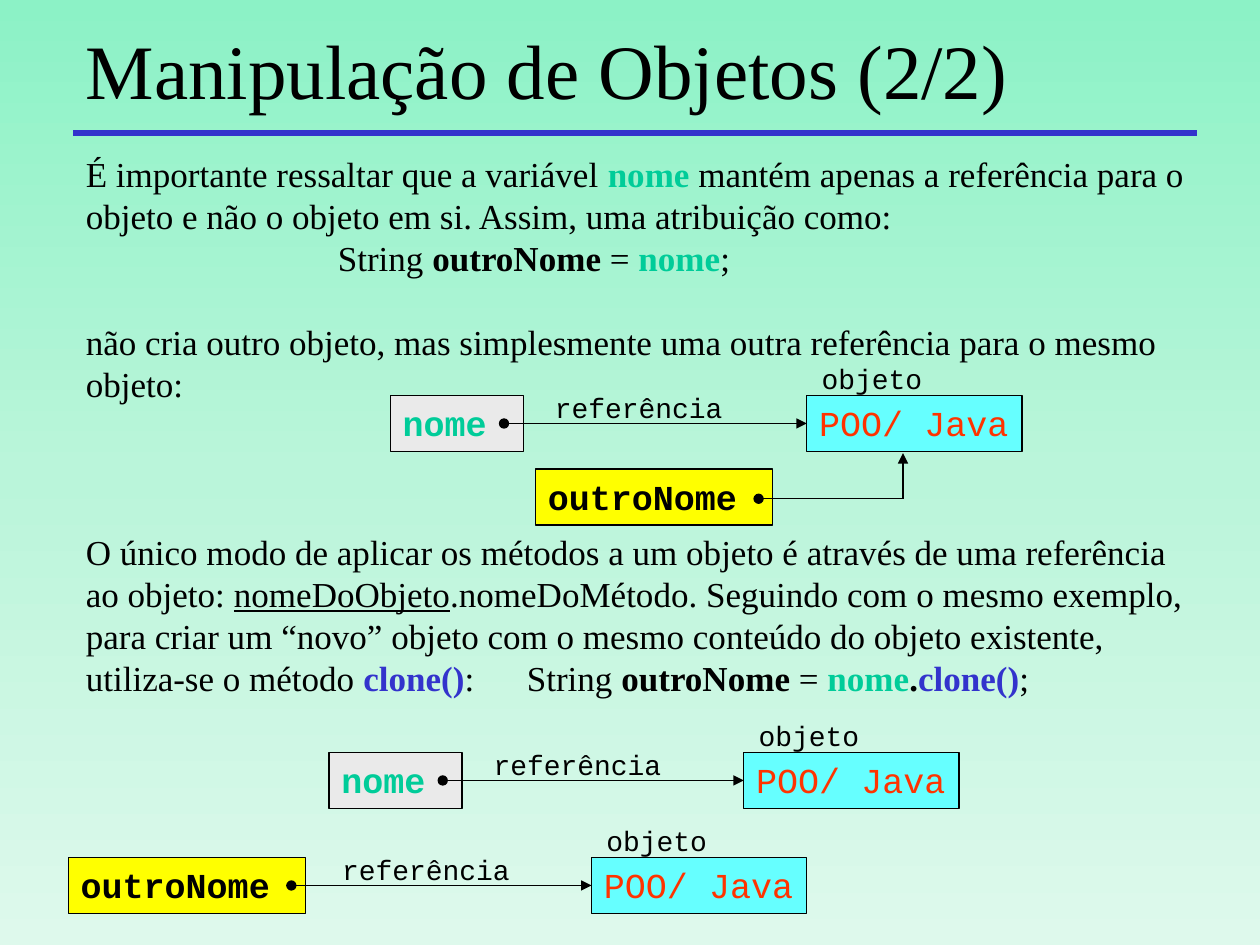
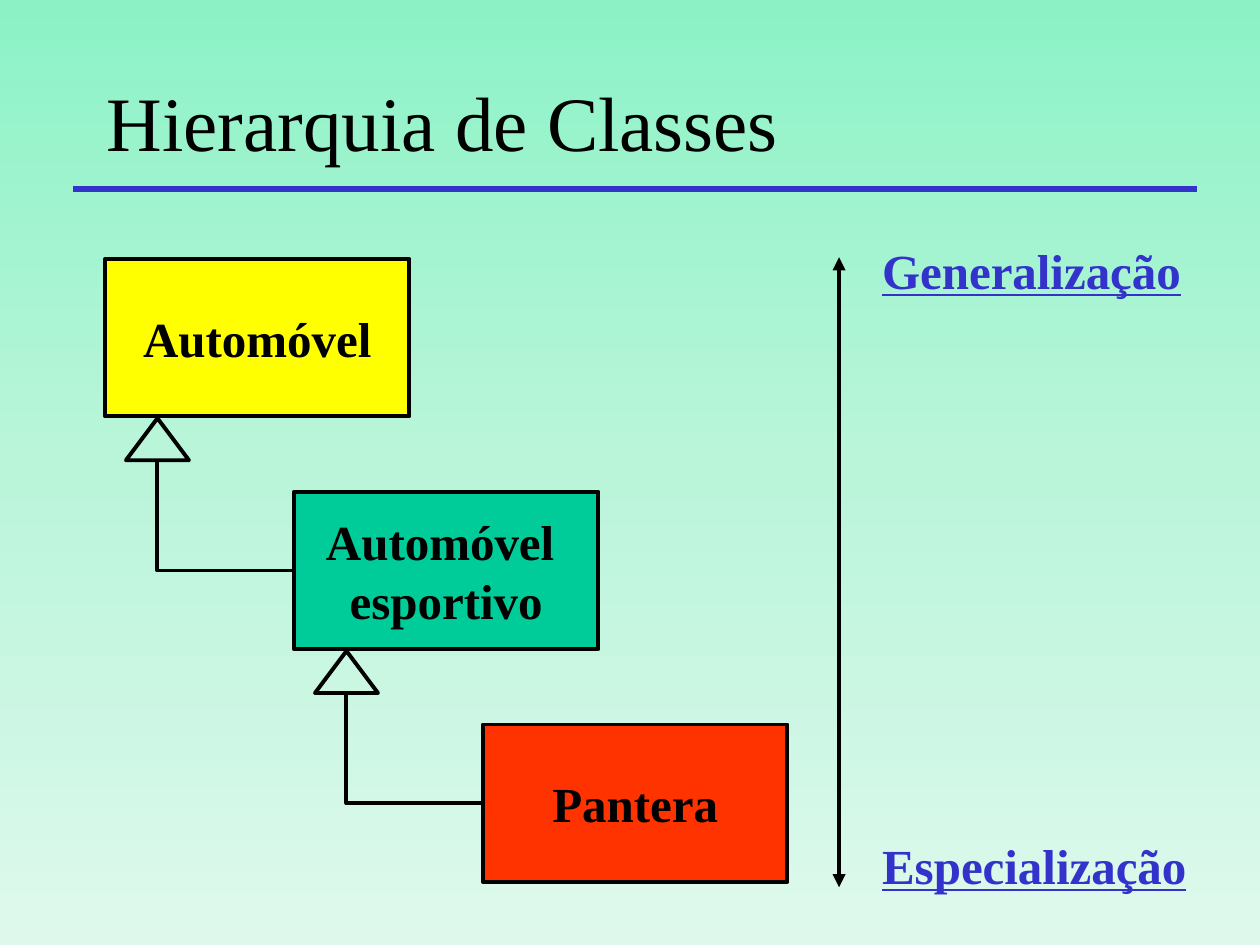
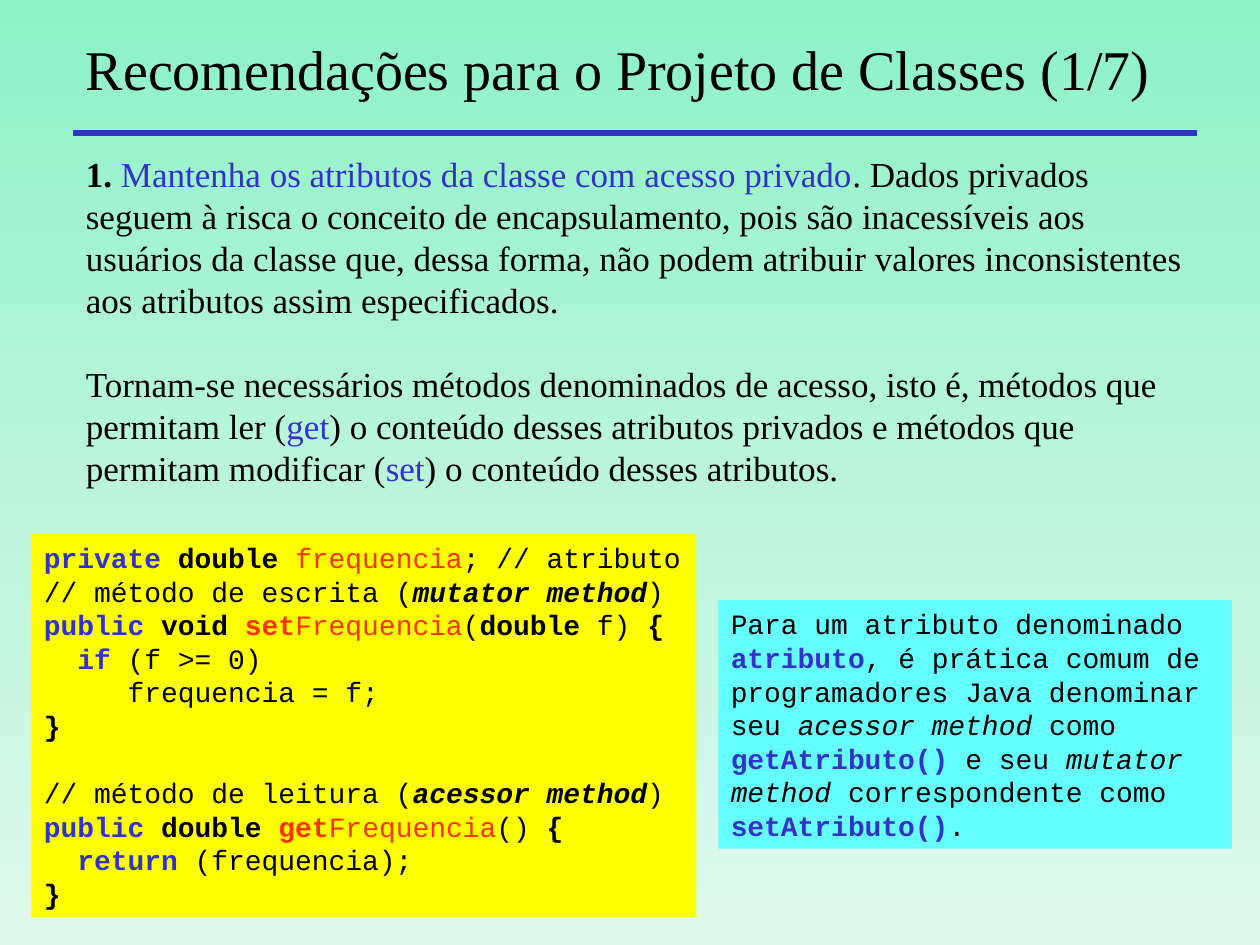
from dataclasses import dataclass, field

import pptx
import pptx.dml.color
import pptx.enum.shapes
import pptx.enum.text
import pptx.oxml.ns
import pptx.util
from lxml import etree

Pt = pptx.util.Pt
RGB = pptx.dml.color.RGBColor.from_string
qn = pptx.oxml.ns.qn
SHAPE = pptx.enum.shapes.MSO_SHAPE
LINE = pptx.enum.shapes.MSO_CONNECTOR
ANCHOR = pptx.enum.text.MSO_ANCHOR
ALIGN = pptx.enum.text.PP_ALIGN


@dataclass(frozen=True)
class Theme:
    serif: str = "Times New Roman"
    mono: str = "Courier New"
    title: int = 44
    long_title: int = 32
    heading: int = 28
    body: int = 20
    code: int = 16
    leading: float = 1.2
    gradient: tuple = ((0, "8CF2C6"), (50, "BAF5DA"), (100, "DEF9EC"))
    colors: dict = field(default_factory=lambda: {
        "black": "000000", "blue": "3333CC", "green": "00CC99",
        "red": "FF3300", "yellow": "FFFF00", "cyan": "66FFFF",
        "gray": "EAEAEA"})


class Deck:
    def __init__(self, theme):
        self.theme = theme
        self.prs = pptx.Presentation()
        self.prs.slide_width, self.prs.slide_height = Pt(720), Pt(540)
        self.s = None
        self.background()

    def color(self, name):
        return RGB(self.theme.colors[name])

    def background(self):
        master = self.prs.slide_master
        fill = master.background.fill
        fill.gradient()
        fill.gradient_angle = 270
        stops = next(master.element.iter(qn("a:gsLst")))
        for stop in list(stops):
            stops.remove(stop)
        for percent, value in self.theme.gradient:
            gs = etree.SubElement(stops, qn("a:gs"), pos=str(percent * 1000))
            etree.SubElement(gs, qn("a:srgbClr"), val=value)

    def slide(self, title, x, y, w, h, rule_y, size=None):
        self.s = self.prs.slides.add_slide(self.prs.slide_layouts[6])
        self.text([[title]], x, y, w, h, size=size or self.theme.title,
                  anchor=ANCHOR.MIDDLE)
        self.line(42, rule_y, 684, rule_y, 3, "blue")

    def set_text(self, sp, paragraphs, size, font=None, style="black",
                 align=ALIGN.LEFT, anchor=ANCHOR.TOP, wrap=True, gaps=None,
                 indents=None):
        """Fill a shape; a run is a string or (text, style), and gaps counts
        the lines left free before a paragraph."""
        tf = sp.text_frame
        tf.word_wrap, tf.vertical_anchor = wrap, anchor
        leading = size * self.theme.leading
        for i, runs in enumerate(paragraphs):
            p = tf.paragraphs[0] if i == 0 else tf.add_paragraph()
            p.alignment, p.line_spacing = align, Pt(leading)
            if gaps and i in gaps:
                p.space_before = Pt(gaps[i] * leading)
            if indents and i in indents:
                p._p.get_or_add_pPr().set("marL", str(Pt(indents[i])))
            p.font.size, p.font.name = Pt(size), font or self.theme.serif
            self.style(p.font, style)
            for run in runs:
                text, own = (run, "") if isinstance(run, str) else run
                r = p.add_run()
                r.text = text
                self.style(r.font, own)

    def style(self, font, words):
        """Apply words such as "blue b u": a colour, then b, i or u."""
        for word in words.split():
            if word == "b":
                font.bold = True
            elif word == "i":
                font.italic = True
            elif word == "u":
                font.underline = True
            else:
                font.color.rgb = self.color(word)

    def text(self, paragraphs, x, y, w, h, **options):
        sp = self.s.shapes.add_textbox(Pt(x), Pt(y), Pt(w), Pt(h))
        self.set_text(sp, paragraphs, **options)

    def shape(self, x, y, w, h, fill=None, line=None, kind=SHAPE.RECTANGLE):
        sp = self.s.shapes.add_shape(kind, Pt(x), Pt(y), Pt(w), Pt(h))
        sp.shadow.inherit = False
        if fill:
            sp.fill.solid()
            sp.fill.fore_color.rgb = self.color(fill)
        else:
            sp.fill.background()
        if line:
            sp.line.width = Pt(line)
            sp.line.color.rgb = self.color("black")
        else:
            sp.line.fill.background()
        return sp

    def box(self, paragraphs, x, y, w, h, fill, line=None, **options):
        sp = self.shape(x, y, w, h, fill, line)
        self.set_text(sp, paragraphs, **options)
        return sp

    def line(self, x1, y1, x2, y2, width=0.75, color="black", head=None,
             tail=None, kind=LINE.STRAIGHT):
        c = self.s.shapes.add_connector(kind, Pt(x1), Pt(y1), Pt(x2), Pt(y2))
        c.line.width = Pt(width)
        c.line.color.rgb = self.color(color)
        ln = c.line._get_or_add_ln()
        for tag, end in (("a:headEnd", head), ("a:tailEnd", tail)):
            if end:
                etree.SubElement(ln, qn(tag), type=end)
        etree.SubElement(c.element.spPr, qn("a:effectLst"))
        return c

    def corner(self, x1, y1, x2, y2, width):
        """Line that runs sideways, then turns once."""
        c = self.line(x1, y1, x2, y2, width, kind=LINE.ELBOW)
        c.element.spPr.find(qn("a:prstGeom")).set("prst", "bentConnector2")

    def variable(self, name, x, y):
        """Draw a variable and return the x of its reference dot."""
        w, fill, color, inset = {
            "nome": (76, "gray", "green", 11),
            "outroNome": (135.5, "yellow", "black", 8)}[name]
        self.box([[name]], x, y, w, 32, fill, 0.75, size=self.theme.body,
                 font=self.theme.mono, style=color + " b", wrap=False)
        return x + w - inset

    def reference(self, name, x, y, object_x):
        """Draw a variable that refers to an object of its own."""
        t = self.theme
        dot = self.variable(name, x, y)
        target = self.box([["POO/ Java"]], object_x, y, 123, 32, "cyan", 0.75,
                          size=t.body, font=t.mono, style="red")
        arrow = self.line(dot, y + 16, object_x, y + 16,
                          head="oval", tail="triangle")
        arrow.end_connect(target, 1)
        for label, left, top, w in (("referência", dot + 22, y - 6.5, 111),
                                    ("objeto", object_x + 1.5, y - 23, 72)):
            self.text([[label]], left, top, w, 26.5, size=t.code, font=t.mono,
                      wrap=False)


def object_handling(d):
    d.slide("Manipulação de Objetos (2/2)", 42, 12, 612, 54, 76)
    name, other = ("nome", "green b"), ("outroNome", "b")
    clone = ("clone()", "blue b")
    d.text([
        ["É importante ressaltar que a variável ", name,
         " mantém apenas a referência para o objeto e não o objeto em si. "
         "Assim, uma atribuição como:"],
        ["String ", other, " = ", name, ";"],
        ["não cria outro objeto, mas simplesmente uma outra referência para "
         "o mesmo objeto:"],
        ["O único modo de aplicar os métodos a um objeto é através de uma "
         "referência ao objeto: ", ("nomeDoObjeto", "u"),
         ".nomeDoMétodo. Seguindo com o mesmo exemplo, para criar um “novo” "
         "objeto com o mesmo conteúdo do objeto existente, utiliza-se o "
         "método ", clone, ":\tString ", other, " = ", name, (".", "b"),
         clone, ";"],
    ], 42, 83.5, 642, 319, size=d.theme.body, gaps={2: 1, 3: 3},
        indents={1: 144})
    d.reference("nome", 223, 226, 461)
    d.reference("nome", 188, 430, 425)
    d.reference("outroNome", 39, 490, 338)
    dot = d.variable("outroNome", 306, 268)
    d.line(dot, 285, 516, 285, head="oval")
    d.line(516, 285, 516, 259, tail="triangle")


def class_hierarchy(d):
    d.slide("Hierarquia de Classes", 54, 24, 612, 90, 108)
    size = d.theme.heading
    classes = (([["Automóvel"]], "yellow"),
               ([["Automóvel "], ["esportivo"]], "green"),
               ([["Pantera"]], "red"))
    step_x, step_y = 108, 133
    for i, (name, fill) in enumerate(classes):
        x, y = 60 + i * step_x, 148 + i * step_y
        d.box(name, x, y, 174, 90, fill, 2.25, size=size, style="black b",
              align=ALIGN.CENTER, anchor=ANCHOR.MIDDLE, wrap=False)
        if i < len(classes) - 1:
            d.shape(x + 12, y + 91, 36, 24, line=2.25,
                    kind=SHAPE.ISOSCELES_TRIANGLE)
            d.corner(x + step_x, y + step_y + 45, x + 30, y + 115, 2.25)
    d.line(479.5, 147, 479.5, 507, 2.5, head="triangle", tail="triangle")
    for label, y, w in (("Generalização", 134, 185),
                        ("Especialização", 474, 188.5)):
        d.text([[label]], 497, y, w, 41, size=size, style="blue b u",
               wrap=False)


def class_design(d):
    t = d.theme
    d.slide("Recomendações para o Projeto de Classes (1/7)", 42, 12, 636, 54,
            76, t.long_title)
    d.text([
        [("1. ", "b"),
         ("Mantenha os atributos da classe com acesso privado", "blue"),
         ". Dados privados seguem à risca o conceito de encapsulamento, pois "
         "são inacessíveis aos usuários da classe que, dessa forma, não podem "
         "atribuir valores inconsistentes aos atributos assim especificados."],
        ["Tornam-se necessários métodos denominados de acesso, isto é, métodos "
         "que permitam ler (", ("get", "blue"),
         ") o conteúdo desses atributos privados e métodos que permitam "
         "modificar (", ("set", "blue"), ") o conteúdo desses atributos."],
    ], 42, 83.5, 642, 201, size=t.body, gaps={1: 1})

    public, double = ("public ", "blue b"), ("double ", "b")
    opening, closing = ("{", "b"), [("}", "b")]
    d.box([
        [("private ", "blue b"), double, ("frequencia", "red"),
         "; // atributo"],
        ["// método de escrita (", ("mutator method", "b i"), ")"],
        [public, ("void ", "b"), ("set", "red b"), ("Frequencia", "red"), "(",
         double, "f) ", opening],
        ["  ", ("if", "blue b"), " (f >= 0)"],
        ["     frequencia = f;"],
        closing,
        ["// método de leitura (", ("acessor method", "b i"), ")"],
        [public, double, ("get", "red b"), ("Frequencia", "red"), "() ",
         opening],
        ["  ", ("return", "blue b"), " (frequencia);"],
        closing,
    ], 18, 305, 380, 219, "yellow", size=t.code, font=t.mono,
        anchor=ANCHOR.MIDDLE, wrap=False, gaps={6: 1})
    d.box([
        ["Para um atributo denominado"],
        [("atributo", "blue b"), ", é prática comum de"],
        ["programadores Java denominar"],
        ["seu ", ("acessor method", "i"), " como"],
        [("getAtributo()", "blue b"), " e seu ", ("mutator", "i")],
        [("method ", "i"), "correspondente como"],
        [("setAtributo()", "blue b"), "."],
    ], 410.5, 343, 293.5, 142, "cyan", size=t.code, font=t.mono,
        anchor=ANCHOR.MIDDLE)


def main():
    d = Deck(Theme())
    object_handling(d)
    class_hierarchy(d)
    class_design(d)
    d.prs.save("out.pptx")


if __name__ == "__main__":
    main()
